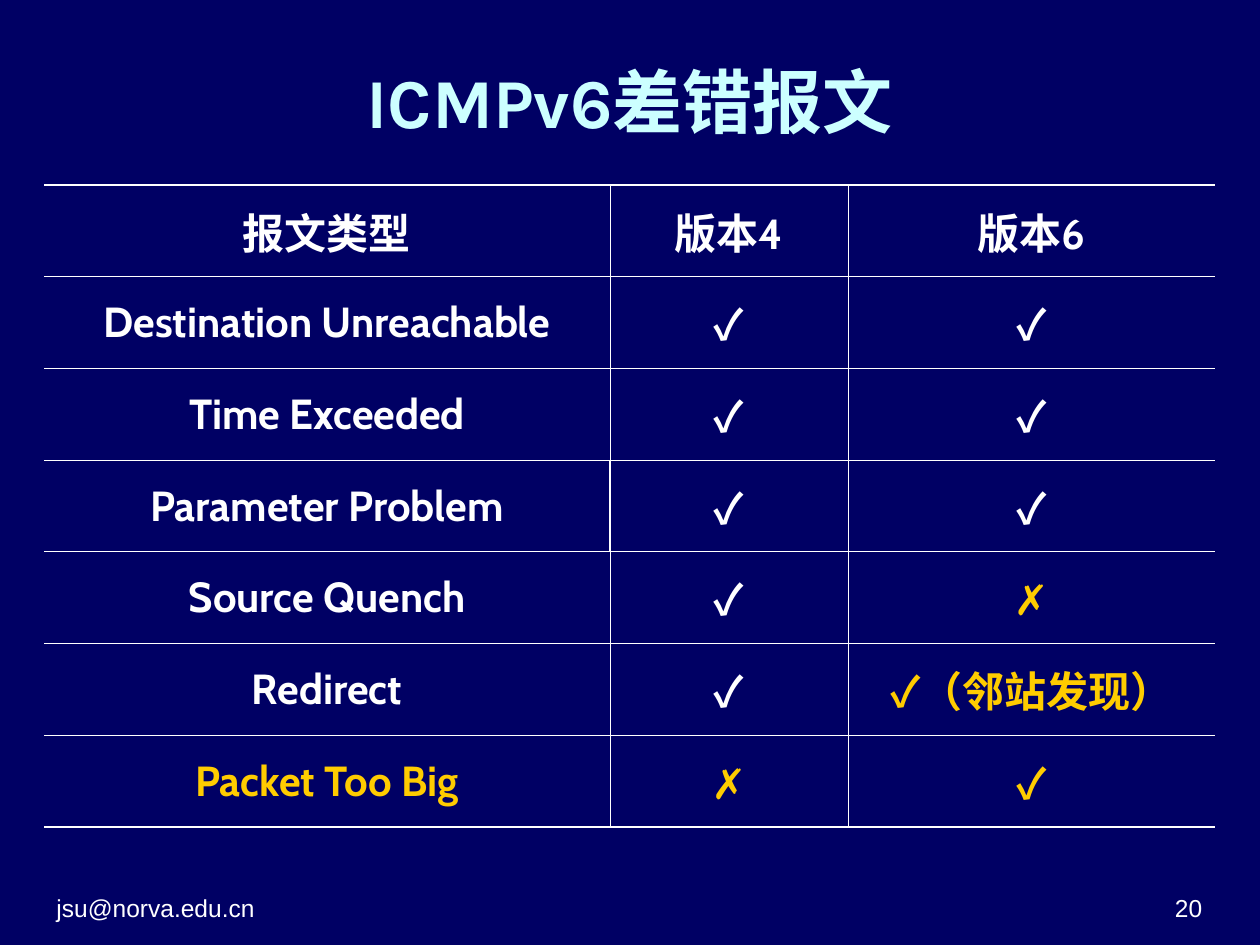
from typing import NamedTuple

from lxml.etree import SubElement
from pptx import Presentation
from pptx.dml.color import RGBColor
from pptx.enum.text import MSO_ANCHOR, MSO_AUTO_SIZE, PP_ALIGN
from pptx.oxml.ns import qn
from pptx.util import Pt

COLORS = {
    "background": "000064",
    "title": "CCFFFF",
    "text": "FFFFFF",
    "highlight": "FFCC00",
}
CJK_FONT = "Noto Sans CJK SC"
LEFT, TABLE_TOP = 25.2, 105.8
COLUMN_WIDTHS = (323.3, 136.1, 209.5)
ROW_HEIGHT = 52.4
THIN, THICK = 0.45, 1.08
THICK_DIVIDER_ROW = 3


class Entry(NamedTuple):
    text: str
    color: str = "text"
    font: str = "Cabin"


class Footer(NamedTuple):
    text: str
    left: float
    alignment: PP_ALIGN


YES = Entry("✓", font=CJK_FONT)
YES_NEW = Entry("✓", "highlight", CJK_FONT)
NO = Entry("✗", "highlight", CJK_FONT)
NEIGHBOR = Entry("✓（邻站发现）", "highlight", CJK_FONT)

ROWS = [
    (Entry("报文类型"), Entry("版本4"), Entry("版本6")),
    (Entry("Destination Unreachable"), YES, YES),
    (Entry("Time Exceeded"), YES, YES),
    (Entry("Parameter Problem"), YES, YES),
    (Entry("Source Quench"), YES, NO),
    (Entry("Redirect"), YES, NEIGHBOR),
    (Entry("Packet Too Big", "highlight"), NO, YES_NEW),
]
FOOTERS = [
    Footer("jsu@norva.edu.cn", LEFT, PP_ALIGN.LEFT),
    Footer("20", 526.3, PP_ALIGN.RIGHT),
]


def format_text(text_frame, size: float, font: str, color: str,
                alignment: PP_ALIGN, bold: bool = True) -> None:
    paragraph = text_frame.paragraphs[0]
    paragraph.alignment = alignment
    for run in paragraph.runs:
        run.font.size = Pt(size)
        run.font.bold = bold
        run.font.name = font
        run.font.color.rgb = RGBColor.from_string(COLORS[color])
        east_asian = SubElement(run.font._element, qn("a:ea"))
        east_asian.set("typeface", CJK_FONT)


def add_border(cell, side: str, width: float) -> None:
    """Append one border; a width of 0 hides it."""
    line = SubElement(cell._tc.get_or_add_tcPr(), qn(f"a:ln{side}"), w=str(Pt(width)))
    if width:
        fill = SubElement(line, qn("a:solidFill"))
        SubElement(fill, qn("a:srgbClr"), val=COLORS["text"])
    else:
        SubElement(line, qn("a:noFill"))


def border_widths(row: int, column: int) -> dict[str, float]:
    """Open sides, thick top and bottom edges, thin lines inside."""
    divider = THICK if row == THICK_DIVIDER_ROW else THIN
    verticals = (0, divider, THIN, 0)
    return {
        "L": verticals[column],
        "R": verticals[column + 1],
        "T": THICK if row == 0 else THIN,
        "B": THICK if row == len(ROWS) - 1 else THIN,
    }


def add_message_table(slide) -> None:
    table = slide.shapes.add_table(
        len(ROWS), len(COLUMN_WIDTHS), Pt(LEFT), Pt(TABLE_TOP),
        Pt(sum(COLUMN_WIDTHS)), Pt(ROW_HEIGHT * len(ROWS))).table
    table.first_row = table.horz_banding = False
    for column, width in zip(table.columns, COLUMN_WIDTHS):
        column.width = Pt(width)
    for row_index, entries in enumerate(ROWS):
        table.rows[row_index].height = Pt(ROW_HEIGHT)
        for column_index, entry in enumerate(entries):
            cell = table.cell(row_index, column_index)
            for side, width in border_widths(row_index, column_index).items():
                add_border(cell, side, width)
            cell.fill.background()
            cell.vertical_anchor = MSO_ANCHOR.MIDDLE
            cell.text_frame.text = entry.text
            cell.text_frame.paragraphs[0].space_before = Pt(9)
            format_text(cell.text_frame, 24, entry.font, entry.color, PP_ALIGN.CENTER)


def add_title(slide, text: str) -> None:
    title = slide.shapes.title
    title.left, title.top = Pt(LEFT), Pt(9.4)
    title.width, title.height = Pt(668.9), Pt(96.5)
    title.text_frame.text = text
    title.text_frame.auto_size = MSO_AUTO_SIZE.NONE
    title.text_frame.vertical_anchor = MSO_ANCHOR.MIDDLE
    format_text(title.text_frame, 40, "Karla", "title", PP_ALIGN.CENTER)


def add_footer(slide, footer: Footer) -> None:
    box = slide.shapes.add_textbox(Pt(footer.left), Pt(496.8), Pt(167.8), Pt(33.8))
    text_frame = box.text_frame
    text_frame.word_wrap = True
    text_frame.vertical_anchor = MSO_ANCHOR.BOTTOM
    text_frame.text = footer.text
    format_text(text_frame, 14, "Arial", "text", footer.alignment, bold=False)


def main() -> None:
    presentation = Presentation()
    presentation.slide_width, presentation.slide_height = Pt(720), Pt(540)
    slide = presentation.slides.add_slide(presentation.slide_layouts[5])
    background = slide.background.fill
    background.solid()
    background.fore_color.rgb = RGBColor.from_string(COLORS["background"])
    for footer in FOOTERS:
        add_footer(slide, footer)
    add_title(slide, "ICMPv6差错报文")
    add_message_table(slide)
    presentation.save("out.pptx")


if __name__ == "__main__":
    main()
